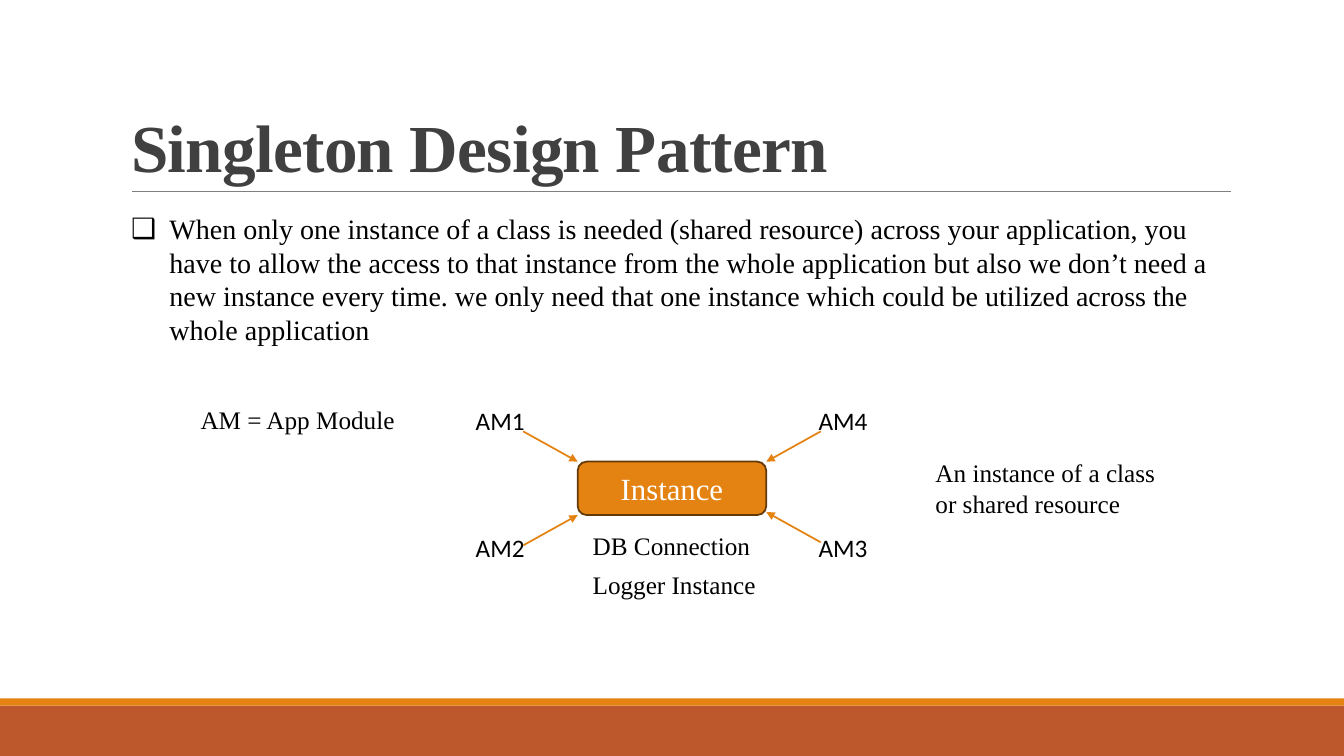
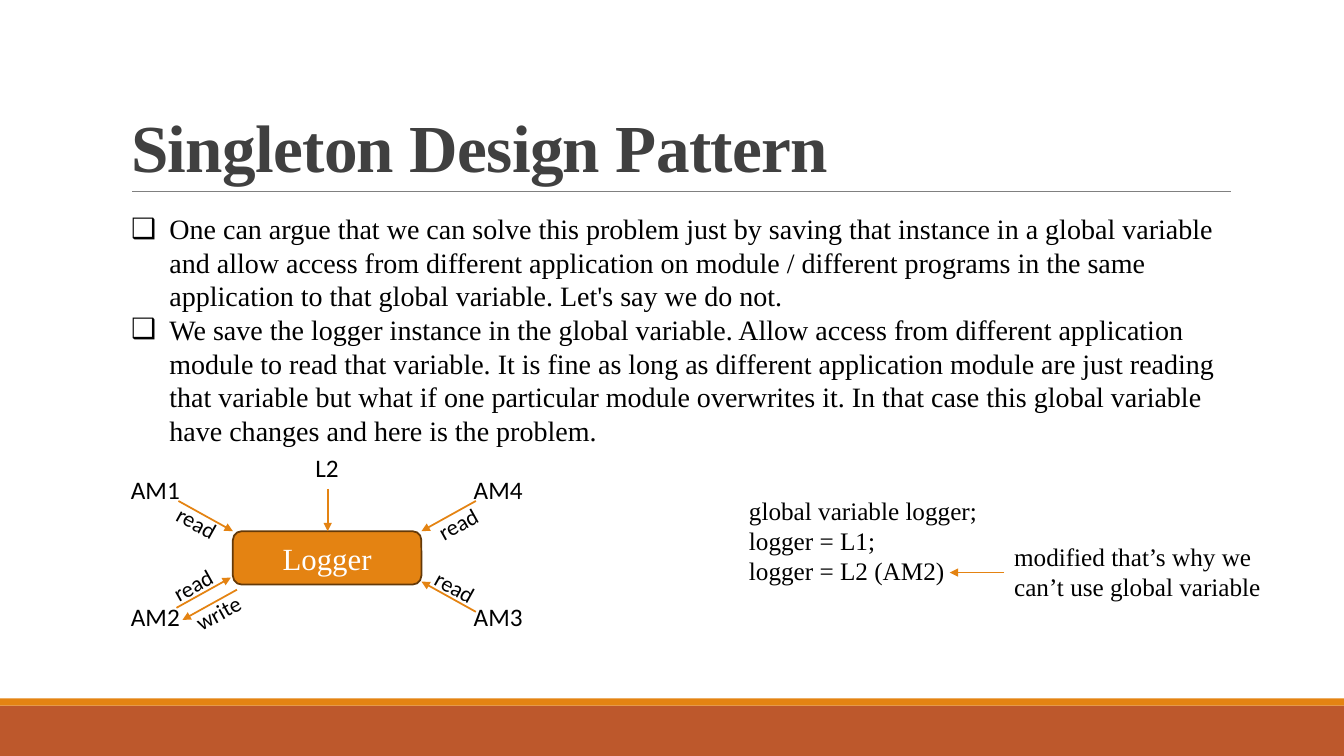
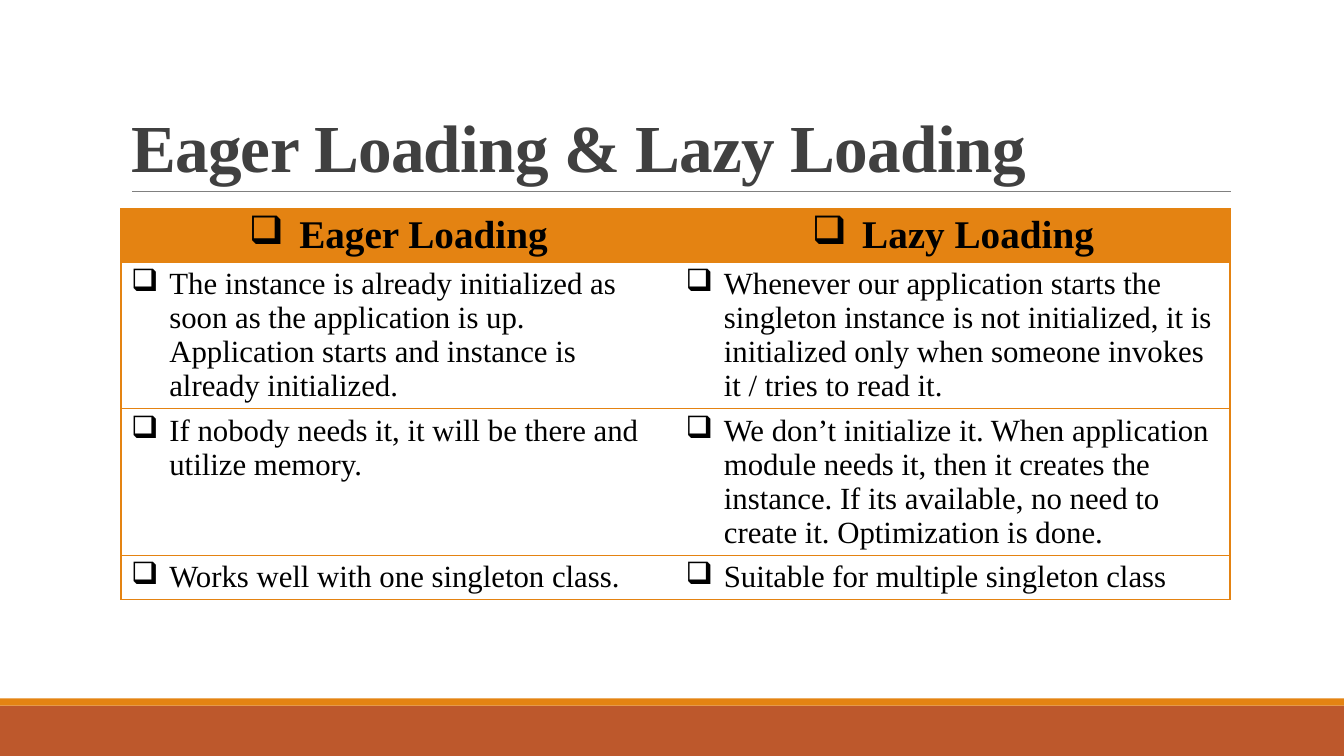
import lxml.etree
import pptx
import pptx.dml.color
import pptx.enum.shapes
import pptx.enum.text
import pptx.oxml
import pptx.oxml.ns
import pptx.util

PX = 9144  # EMU per px: 100 px make one inch

SERIF, SANS = "Times New Roman", "Calibri"
ORANGE, RUST, BROWN = "E48312", "BD582C", "643908"
BLACK, WHITE, DARK, GREY = "000000", "FFFFFF", "404040", "808080"

ANCHOR = pptx.enum.text.MSO_ANCHOR
ALIGN = pptx.enum.text.PP_ALIGN
FIT = pptx.enum.text.MSO_AUTO_SIZE
SHAPE = pptx.enum.shapes.MSO_SHAPE


def px(length):
    return pptx.util.Emu(length * PX)


def color(code):
    return pptx.dml.color.RGBColor.from_string(code)


def add_xml(parent, tag, **attributes):
    child = lxml.etree.SubElement(parent, pptx.oxml.ns.qn(tag))
    for name, value in attributes.items():
        child.set(name, str(value))
    return child


class SlideWriter:
    """Holds the deck style and the slide being written."""

    def __init__(self):
        self.deck = pptx.Presentation()
        self.deck.slide_width, self.deck.slide_height = px(1333), px(750)
        self.page = None

    def new_page(self, title, has_body=False):
        layout = self.deck.slide_layouts[1 if has_body else 5]
        self.page = self.deck.slides.add_slide(layout)
        for holder in list(self.page.placeholders):
            if holder.placeholder_format.idx >= 10:
                holder.element.getparent().remove(holder.element)
        # Shared bands and title rule
        self.shape(SHAPE.RECTANGLE, 0, 700, 1333, 50, RUST)
        self.shape(SHAPE.RECTANGLE, 0, 693, 1333, 7, ORANGE)
        self.line(131, 190, 1221, 190, GREY, 0.5)
        # Title
        box = self.page.shapes.title
        self.place(box, 120, 31, 1100, 159)
        frame = box.text_frame
        frame.text = title
        frame.word_wrap = True
        frame.auto_size = FIT.NONE
        frame.vertical_anchor = ANCHOR.BOTTOM
        para = frame.paragraphs[0]
        self.style(para, 48, DARK, bold=True)
        para.line_spacing = 0.85
        para.runs[0]._r.get_or_add_rPr().set("spc", "-50")

    def place(self, box, left, top, width, height):
        box.left, box.top = px(left), px(top)
        box.width, box.height = px(width), px(height)

    def style(self, para, size, code=BLACK, font=SERIF, bold=False, align=ALIGN.LEFT):
        para.alignment = align
        para.font.name = font
        para.font.size = pptx.util.Pt(size)
        para.font.bold = bold
        para.font.color.rgb = color(code)

    def bullet(self, para, indent):
        properties = para._p.get_or_add_pPr()
        properties.set("marL", str(px(indent)))
        properties.set("indent", str(-px(indent)))
        add_xml(properties, "a:buChar", char="❑")

    def body(self, height, items):
        box = self.page.placeholders[1]
        self.place(box, 120, 205, 1100, height)
        frame = box.text_frame
        frame.text = "\n".join(items)
        frame.word_wrap = True
        frame.auto_size = FIT.NONE
        frame.vertical_anchor = ANCHOR.TOP
        for para in frame.paragraphs:
            self.bullet(para, 38)
            self.style(para, 20)
            para.space_before = pptx.util.Pt(0)

    def shape(self, kind, left, top, width, height, fill, border=None, label=None):
        box = self.page.shapes.add_shape(kind, px(left), px(top), px(width), px(height))
        box.shadow.inherit = False
        box.fill.solid()
        box.fill.fore_color.rgb = color(fill)
        if border:
            box.line.color.rgb = color(border)
            box.line.width = pptx.util.Pt(1.25)
        else:
            box.line.fill.background()
        if label:
            box.text_frame.text = label
            box.text_frame.vertical_anchor = ANCHOR.MIDDLE
            self.style(box.text_frame.paragraphs[0], 22, WHITE, align=ALIGN.CENTER)

    def line(self, x1, y1, x2, y2, code=ORANGE, width=1.25):
        connector = self.page.shapes.add_connector(
            pptx.enum.shapes.MSO_CONNECTOR.STRAIGHT, px(x1), px(y1), px(x2), px(y2))
        connector.line.color.rgb = color(code)
        connector.line.width = pptx.util.Pt(width)
        add_xml(connector.element.spPr, "a:effectLst")
        return connector

    def arrow(self, x1, y1, x2, y2):
        connector = self.line(x1, y1, x2, y2)
        add_xml(connector.line._get_or_add_ln(), "a:tailEnd", type="triangle")

    def text(self, words, left, top, width, height=40, size=18, font=SERIF, turn=0):
        box = self.page.shapes.add_textbox(px(left), px(top), px(width), px(height))
        box.rotation = turn
        frame = box.text_frame
        frame.text = words
        frame.word_wrap = False
        frame.auto_size = FIT.SHAPE_TO_FIT_TEXT
        for para in frame.paragraphs:
            self.style(para, size, font=font)

    def hub(self, label, left, top, shift_x=0, shift_y=0):
        """A box with four modules pointing at it; the shift moves the AM2 arrow."""
        self.shape(SHAPE.ROUNDED_RECTANGLE, left, top, 187, 53, ORANGE, BROWN, label)
        # Module name, its corner, then the arrow's start and end, from the box corner
        modules = [
            ("AM1", -111, -61, -54, -30, 0, 0),
            ("AM2", -111, 65, shift_x - 54, shift_y + 83, shift_x, shift_y + 53),
            ("AM3", 229, 65, 241, 80, 187, 50),
            ("AM4", 229, -61, 241, -30, 187, 0),
        ]
        for name, x, y, x1, y1, x2, y2 in modules:
            self.text(name, left + x, top + y, 69, font=SANS)
            self.arrow(left + x1, top + y1, left + x2, top + y2)

    def table(self, left, top, widths, heights, rows):
        grid = self.page.shapes.add_table(
            len(rows), len(widths), px(left), px(top), px(sum(widths)), px(sum(heights))).table
        grid.first_row = grid.horz_banding = False
        for column, width in zip(grid.columns, widths):
            column.width = px(width)
        for y, (row, height) in enumerate(zip(rows, heights)):
            grid.rows[y].height = px(height)
            for x, words in enumerate(row):
                self.cell(grid.cell(y, x), words, y == 0, x == 0, x == len(row) - 1)

    def cell(self, cell, words, is_header, is_first, is_last):
        cell.text = words
        para = cell.text_frame.paragraphs[0]
        if is_header:
            self.bullet(para, 50)
            self.style(para, 28, bold=True, align=ALIGN.CENTER)
            cell.fill.solid()
            cell.fill.fore_color.rgb = color(ORANGE)
        else:
            self.bullet(para, 38)
            self.style(para, 22)
            cell.fill.background()
        # Borders go before the fill
        properties = cell._tc.get_or_add_tcPr()
        sides = [("a:lnL", is_first), ("a:lnR", is_last), ("a:lnT", True), ("a:lnB", True)]
        for place, (side, is_drawn) in enumerate(sides):
            edge = add_xml(properties, side, w=12700)
            if is_drawn:
                add_xml(add_xml(edge, "a:solidFill"), "a:srgbClr", val=ORANGE)
            else:
                add_xml(edge, "a:noFill")
            properties.insert(place, edge)


def main():
    writer = SlideWriter()

    # Slide 1: the idea
    writer.new_page("Singleton Design Pattern", has_body=True)
    writer.body(145, [
        "When only one instance of a class is needed (shared resource) across your application, "
        "you have to allow the access to that instance from the whole application but also we "
        "don’t need a new instance every time. we only need that one instance which could be "
        "utilized across the whole application"])
    writer.hub("Instance", 573, 458)
    writer.text("DB Connection", 578, 521, 178)
    writer.text("Logger Instance", 578, 560, 184)
    writer.text("AM = App Module", 189, 396, 215)
    writer.text("An instance of a class\nor shared resource", 918, 449, 240, 71)

    # Slide 2: why a global variable fails
    writer.new_page("Singleton Design Pattern", has_body=True)
    writer.body(246, [
        "One can argue that we can solve this problem just by saving that instance in a global "
        "variable and allow access from different application on module / different programs in "
        "the same application to that global variable. Let's say we do not.",
        "We save the logger instance in the global variable. Allow access from different "
        "application module to read that variable. It is fine as long as different application "
        "module are just reading that variable but what if one particular module overwrites it. "
        "In that case this global variable have changes and here is the problem."])
    writer.hub("Logger", 231, 527, shift_x=-2, shift_y=-7)
    writer.text("L2", 303, 444, 44, font=SANS)
    writer.arrow(325, 485, 325, 527)
    writer.arrow(235, 585, 181, 615)
    for words, left, top, width, turn in [
            ("read", 165, 500, 61, 29), ("read", 421, 564, 61, 29),
            ("read", 424, 501, 61, -29), ("read", 161, 562, 61, -29),
            ("write", 183, 589, 68, -29)]:
        writer.text(words, left, top, width, 37, 16, SANS, turn)
    writer.text("global variable logger;\nlogger = L1;\nlogger = L2 (AM2)", 733, 486, 249, 101)
    writer.text("modified that’s why we\ncan’t use global variable", 996, 532, 267, 71)
    writer.arrow(996, 568, 942, 568)

    # Slide 3: comparison
    writer.new_page("Eager Loading & Lazy Loading")
    writer.table(120, 207, [550, 550], [53, 145, 145, 44], [
        ("Eager Loading", "Lazy Loading"),
        ("The instance is already initialized as soon as the application is up. Application "
         "starts and instance is already initialized.",
         "Whenever our application starts the singleton instance is not initialized, it is "
         "initialized only when someone invokes it / tries to read it."),
        ("If nobody needs it, it will be there and utilize memory.",
         "We don’t initialize it. When application module needs it, then it creates the "
         "instance. If its available, no need to create it. Optimization is done."),
        ("Works well with one singleton class.", "Suitable for multiple singleton class")])

    writer.deck.save("out.pptx")


if __name__ == "__main__":
    main()
